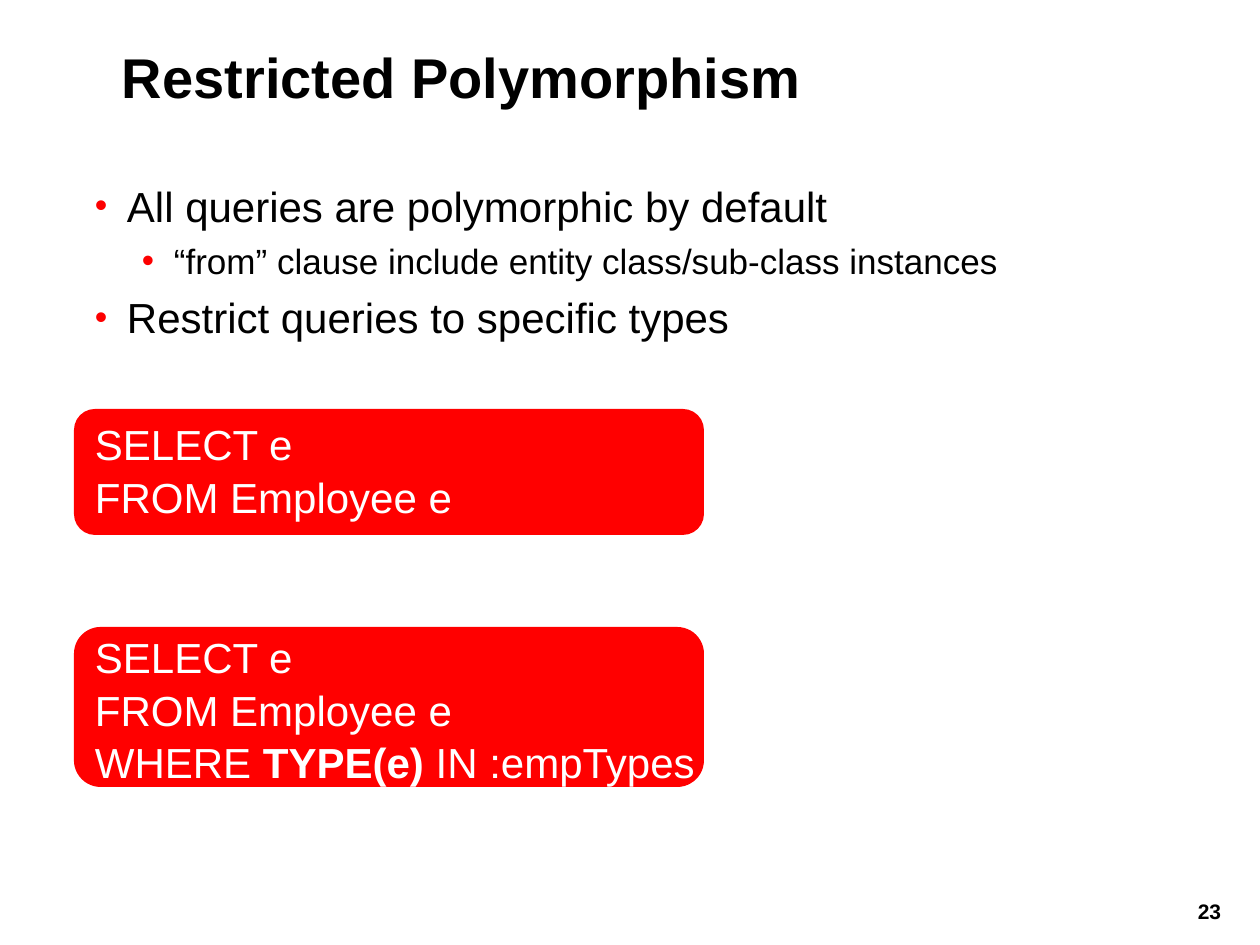
from lxml import etree
from pptx import Presentation
from pptx.dml.color import RGBColor
from pptx.enum.shapes import MSO_SHAPE as SHAPE
from pptx.enum.text import MSO_ANCHOR as ANCHOR, PP_ALIGN as ALIGN
from pptx.oxml.ns import qn
from pptx.util import Pt

EMU_PER_PX = 914400 // 126


def px(n):
    return n * EMU_PER_PX


def color(value):
    return RGBColor.from_string(value)


def add_run(p, text, size=24, fill="000000", bold=False, font="Arial"):
    r = p.add_run()
    r.text = text
    r.font.name = font
    r.font.size = Pt(size)
    r.font.bold = bold
    r.font.color.rgb = color(fill)


class Deck:
    red = "FF0000"
    bullet_red = "FD0000"
    white = "FFFFFF"

    def __init__(self, width, height):
        self.prs = Presentation()
        self.prs.slide_width = px(width)
        self.prs.slide_height = px(height)
        self.s = self.prs.slides.add_slide(self.prs.slide_layouts[6])

    def text_frame(self, x, y, w, h):
        tf = self.s.shapes.add_textbox(px(x), px(y), px(w), px(h)).text_frame
        tf.word_wrap = True
        tf.vertical_anchor = ANCHOR.TOP
        tf.margin_left = tf.margin_right = tf.margin_top = tf.margin_bottom = 0
        return tf

    def label(self, x, y, w, h, text, align=ALIGN.LEFT, **fmt):
        p = self.text_frame(x, y, w, h).paragraphs[0]
        p.alignment = align
        add_run(p, text, **fmt)

    def bullets(self, x, y, w, h, items):
        tf = self.text_frame(x, y, w, h)
        for i, (level, text) in enumerate(items):
            p = tf.add_paragraph() if i else tf.paragraphs[0]
            size, before, indent, scale = ((24, 6, 32, 85), (20, 5, 79, 100))[level]
            p.level = level
            p.space_before = Pt(before)
            pPr = p._p.get_or_add_pPr()
            pPr.set("marL", str(px(indent)))
            pPr.set("indent", str(px(-32)))
            clr = etree.SubElement(pPr, qn("a:buClr"))
            etree.SubElement(clr, qn("a:srgbClr"), val=self.bullet_red)
            etree.SubElement(pPr, qn("a:buSzPct"), val=str(scale * 1000))
            etree.SubElement(pPr, qn("a:buFont"), typeface="Arial")
            etree.SubElement(pPr, qn("a:buChar"), char="•")
            add_run(p, text, size=size)

    def panel(self, x, y, w, h):
        sp = self.s.shapes.add_shape(SHAPE.ROUNDED_RECTANGLE, px(x), px(y), px(w), px(h))
        sp.shadow.inherit = False
        sp.fill.solid()
        sp.fill.fore_color.rgb = color(self.red)
        sp.line.fill.background()

    def code(self, x, y, w, h, lines):
        p = self.text_frame(x, y, w, h).paragraphs[0]
        p.space_before = Pt(6)
        p.line_spacing = 1.04
        for i, parts in enumerate(lines):
            if i:
                p.add_line_break()
            for text, bold in parts:
                add_run(p, text, fill=self.white, bold=bold)


deck = Deck(1260, 945)
deck.label(122, 42, 1045, 117, "Restricted Polymorphism", size=32, bold=True)
deck.bullets(95, 180, 1038, 586, [
    (0, "All queries are polymorphic by default"),
    (1, "“from” clause include entity class/sub-class instances"),
    (0, "Restrict queries to specific types"),
])

query = [[("SELECT e", False)], [("FROM Employee e", False)]]
type_filter = [("WHERE ", False), ("TYPE(e)", True), (" IN :empTypes", False)]
for panel_y, panel_h, text_y, lines in (
    (409, 126, 417, query),
    (627, 160, 630, query + [type_filter]),
):
    deck.panel(74, panel_y, 630, panel_h)
    deck.code(95, text_y, 1038, 176, lines)

deck.label(1178, 899, 63, 24, "23", align=ALIGN.CENTER, size=12, bold=True)
deck.prs.save("out.pptx")
